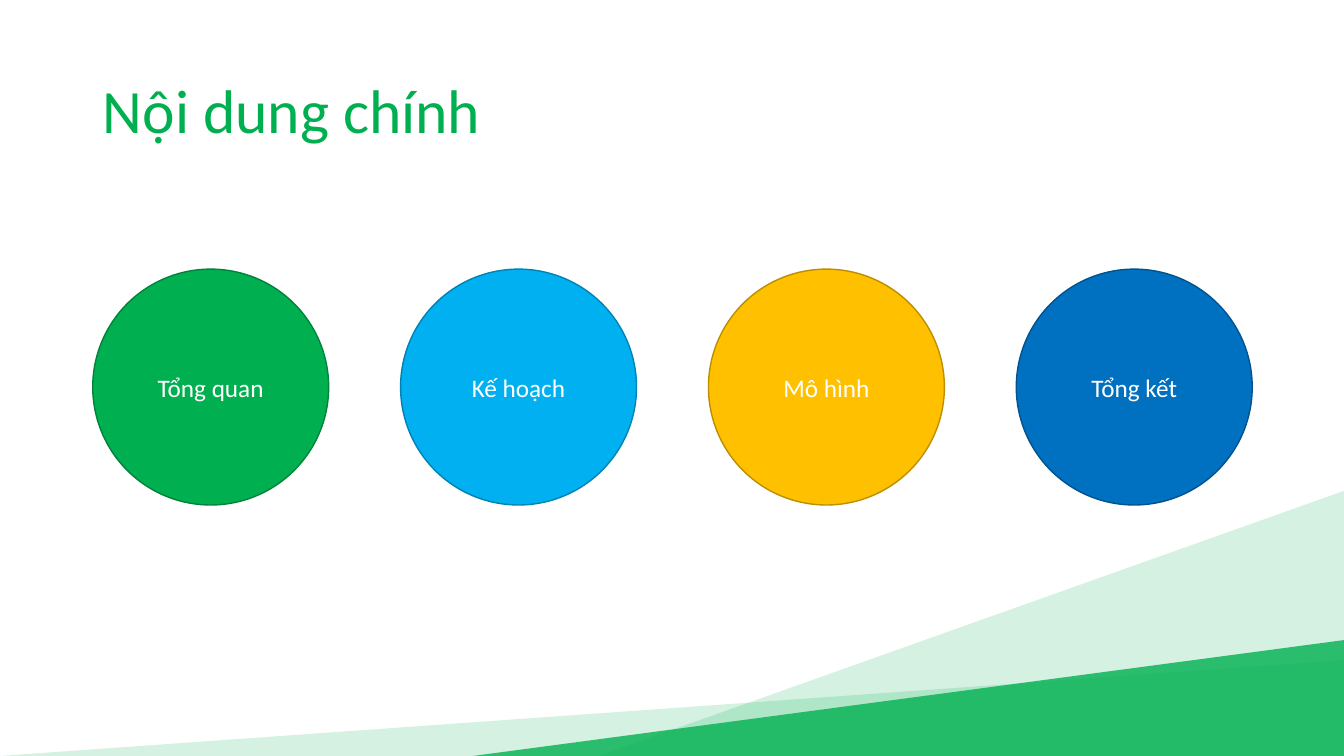
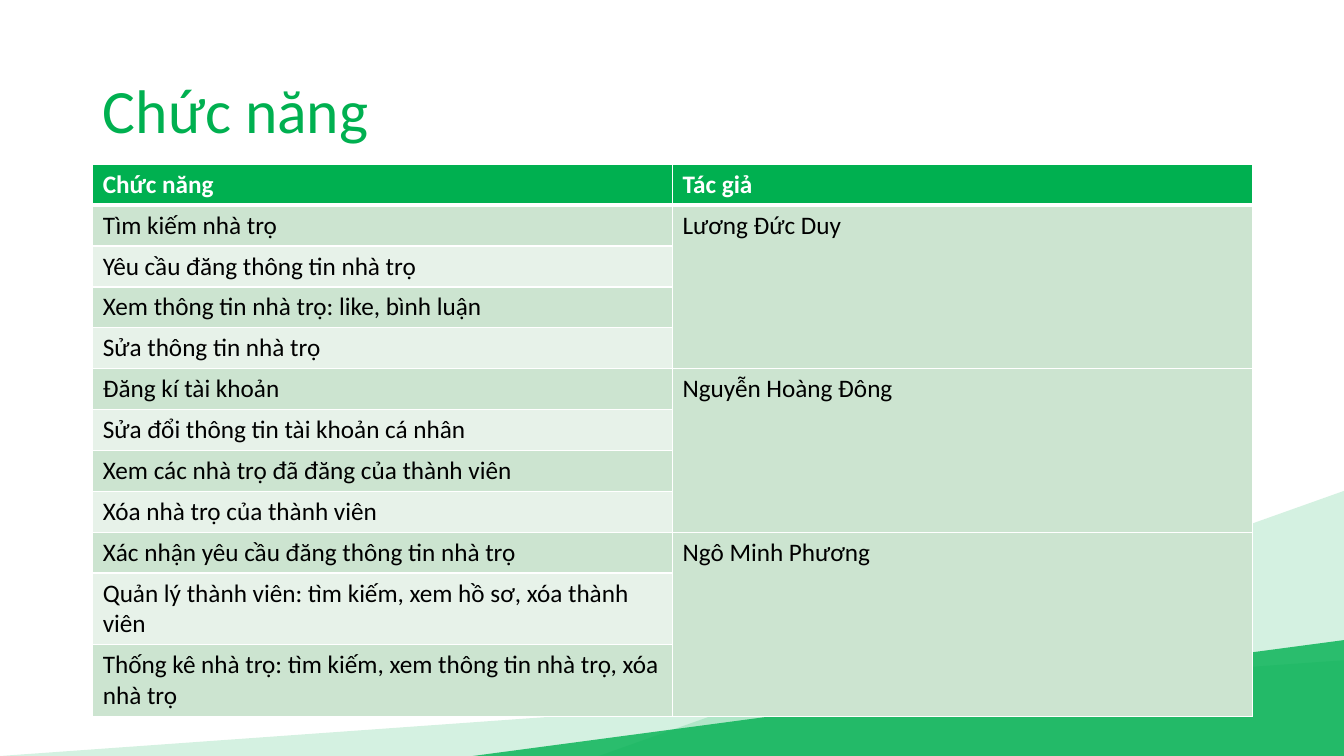
from dataclasses import dataclass

from lxml import etree
from pptx import Presentation
from pptx.dml.color import RGBColor
from pptx.enum.shapes import MSO_SHAPE
from pptx.enum.text import MSO_ANCHOR, MSO_AUTO_SIZE, PP_ALIGN
from pptx.oxml.ns import qn
from pptx.slide import Slide, SlideLayout
from pptx.table import _Cell
from pptx.text.text import TextFrame
from pptx.util import Inches, Pt

OVAL = MSO_SHAPE.OVAL
RIGHT_TRIANGLE = MSO_SHAPE.RIGHT_TRIANGLE
MIDDLE, TOP = MSO_ANCHOR.MIDDLE, MSO_ANCHOR.TOP
LEFT, CENTER = PP_ALIGN.LEFT, PP_ALIGN.CENTER
NO_AUTOFIT = MSO_AUTO_SIZE.NONE

COLORS = {
    "green": "00B050",
    "dark_green": "00823B",
    "sky": "00B0F0",
    "dark_sky": "0082B2",
    "amber": "FFC000",
    "dark_amber": "BD8E00",
    "blue": "0070C0",
    "dark_blue": "00538E",
    "white": "FFFFFF",
    "black": "000000",
    "band": "CCE4D0",
    "light_band": "E7F2E9",
}
FONT = "Calibri"
SLIDE_WIDTH, SLIDE_HEIGHT = 13.33, 7.5
TITLE_ONLY = 5
MARGIN = 0.92
CONTENT_WIDTH = 11.5
CIRCLE_TOP, CIRCLE_SIZE = 2.67, 2.34
TABLE_TOP, ROW_HEIGHT = 1.63, 0.4


@dataclass(frozen=True)
class Wedge:
    width: float
    height: float
    opacity: int


@dataclass(frozen=True)
class Topic:
    text: str
    color: str


@dataclass(frozen=True)
class Assignment:
    author: str
    features: tuple[str, ...]


WEDGES = (
    Wedge(SLIDE_WIDTH, 0.95, 17),
    Wedge(7.39, 2.63, 17),
    Wedge(8.64, 1.15, 80),
)
TOPICS = (
    Topic("Tổng quan", "green"),
    Topic("Kế hoạch", "sky"),
    Topic("Mô hình", "amber"),
    Topic("Tổng kết", "blue"),
)
HEADINGS = ("Chức năng", "Tác giả")
ASSIGNMENTS = (
    Assignment("Lương Đức Duy", (
        "Tìm kiếm nhà trọ",
        "Yêu cầu đăng thông tin nhà trọ",
        "Xem thông tin nhà trọ: like, bình luận",
        "Sửa thông tin nhà trọ",
    )),
    Assignment("Nguyễn Hoàng Đông", (
        "Đăng kí tài khoản",
        "Sửa đổi thông tin tài khoản cá nhân",
        "Xem các nhà trọ đã đăng của thành viên",
        "Xóa nhà trọ của thành viên",
    )),
    Assignment("Ngô Minh Phương", (
        "Xác nhận yêu cầu đăng thông tin nhà trọ",
        "Quản lý thành viên: tìm kiếm, xem hồ sơ, xóa thành viên",
        "Thống kê nhà trọ: tìm kiếm, xem thông tin nhà trọ, xóa nhà trọ",
    )),
)


def rgb(name: str) -> RGBColor:
    return RGBColor.from_string(COLORS[name])


def write_text(frame: TextFrame, text: str, *, size: int = 18, color: str = "white",
               bold: bool = False, align: PP_ALIGN = LEFT, anchor: MSO_ANCHOR = MIDDLE,
               line_spacing: float = 1.0) -> None:
    frame.word_wrap = True
    frame.vertical_anchor = anchor
    paragraph = frame.paragraphs[0]
    paragraph.alignment = align
    paragraph.line_spacing = line_spacing
    run = paragraph.add_run()
    run.text = text
    run.font.name = FONT
    run.font.size = Pt(size)
    run.font.bold = bold
    run.font.color.rgb = rgb(color)


def add_titled_slide(presentation: Presentation, layout: SlideLayout, text: str) -> Slide:
    slide = presentation.slides.add_slide(layout)
    title = slide.shapes.title
    title.left, title.top = Inches(MARGIN), Inches(0.4)
    title.width, title.height = Inches(CONTENT_WIDTH), Inches(1.45)
    title.text_frame.auto_size = NO_AUTOFIT
    write_text(title.text_frame, text, size=44, color="green", line_spacing=0.9)
    return slide


def move_wedges_to_layout(slide: Slide, layout: SlideLayout) -> None:
    for number, wedge in enumerate(WEDGES):
        shape = slide.shapes.add_shape(
            RIGHT_TRIANGLE,
            Inches(SLIDE_WIDTH - wedge.width), Inches(SLIDE_HEIGHT - wedge.height),
            Inches(wedge.width), Inches(wedge.height))
        shape.shadow.inherit = False
        shape.fill.solid()
        shape.fill.fore_color.rgb = rgb("green")
        shape.line.fill.background()
        properties = shape.element.spPr
        properties.find(qn("a:xfrm")).set("flipH", "1")
        fill_color = properties.find(qn("a:solidFill")).find(qn("a:srgbClr"))
        etree.SubElement(fill_color, qn("a:alpha"), val=str(wedge.opacity * 1000))
        shape.element.nvSpPr.cNvPr.set("id", str(100 + number))
        layout.shapes.element.insert(2 + number, shape.element)


def add_topics(slide: Slide) -> None:
    step = (CONTENT_WIDTH - CIRCLE_SIZE) / (len(TOPICS) - 1)
    for number, topic in enumerate(TOPICS):
        circle = slide.shapes.add_shape(
            OVAL, Inches(MARGIN + number * step), Inches(CIRCLE_TOP),
            Inches(CIRCLE_SIZE), Inches(CIRCLE_SIZE))
        circle.shadow.inherit = False
        circle.fill.solid()
        circle.fill.fore_color.rgb = rgb(topic.color)
        circle.line.color.rgb = rgb(f"dark_{topic.color}")
        circle.line.width = Pt(1)
        write_text(circle.text_frame, topic.text, align=CENTER)


def format_cell(cell: _Cell, fill: str, top_width: int, bottom_width: int) -> None:
    properties = cell._tc.get_or_add_tcPr()
    widths = {"a:lnL": 1, "a:lnR": 1, "a:lnT": top_width, "a:lnB": bottom_width}
    for tag, width in widths.items():
        border = etree.SubElement(properties, qn(tag), w=str(Pt(width)))
        border_fill = etree.SubElement(border, qn("a:solidFill"))
        etree.SubElement(border_fill, qn("a:srgbClr"), val=COLORS["white"])
    cell.fill.solid()
    cell.fill.fore_color.rgb = rgb(fill)


def add_assignment_table(slide: Slide) -> None:
    row_count = 1 + sum(len(assignment.features) for assignment in ASSIGNMENTS)
    table = slide.shapes.add_table(
        row_count, len(HEADINGS), Inches(MARGIN), Inches(TABLE_TOP),
        Inches(CONTENT_WIDTH), Inches(ROW_HEIGHT * row_count)).table

    for column, heading in enumerate(HEADINGS):
        cell = table.cell(0, column)
        format_cell(cell, "green", 1, 3)
        write_text(cell.text_frame, heading, bold=True, anchor=TOP)

    row = 1
    for assignment in ASSIGNMENTS:
        first_row = row
        for feature in assignment.features:
            top_width = 3 if row == 1 else 1
            feature_cell = table.cell(row, 0)
            format_cell(feature_cell, "band" if row % 2 else "light_band", top_width, 1)
            write_text(feature_cell.text_frame, feature, color="black", anchor=TOP)
            format_cell(table.cell(row, 1), "band", top_width, 1)
            row += 1
        author_cell = table.cell(first_row, 1)
        author_cell.merge(table.cell(row - 1, 1))
        write_text(author_cell.text_frame, assignment.author, color="black", anchor=TOP)


def main() -> None:
    presentation = Presentation()
    presentation.slide_width = Inches(SLIDE_WIDTH)
    presentation.slide_height = Inches(SLIDE_HEIGHT)
    layout = presentation.slide_layouts[TITLE_ONLY]

    contents_slide = add_titled_slide(presentation, layout, "Nội dung chính")
    move_wedges_to_layout(contents_slide, layout)
    add_topics(contents_slide)

    features_slide = add_titled_slide(presentation, layout, "Chức năng")
    add_assignment_table(features_slide)

    presentation.save("out.pptx")


if __name__ == "__main__":
    main()
